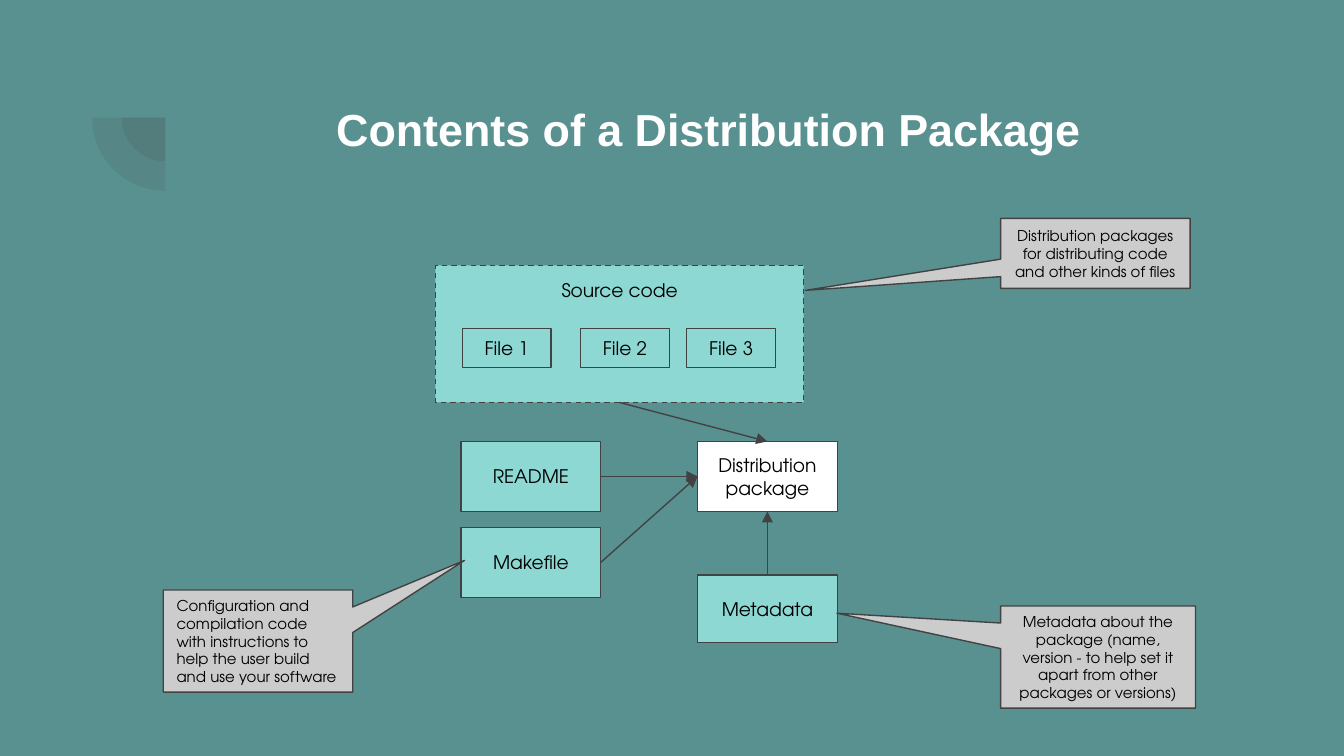
from lxml import etree
from pptx import Presentation, util as u
from pptx.dml.color import RGBColor
from pptx.enum import dml, shapes, text
from pptx.oxml import ns

COLORS = {
    "background": "599191", "ink": "424242", "part": "8DD8D3",
    "result": "FFFFFF", "note": "CCCCCC", "title": "FFFFFF", "text": "000000",
}
BODY_FONT = "TeX Gyre Adventor"
SLIDE_WIDTH = u.Inches(10)
SLIDE_HEIGHT = SLIDE_WIDTH * 9 // 16
CELL = SLIDE_WIDTH // 100
TOP, LEFT, BOTTOM, RIGHT = range(4)
PART_WIDTH, PART_HEIGHT = 10.4, 5.2
LEFT_COLUMN, RIGHT_COLUMN, NOTE_COLUMN = 34.3, 51.9, 74.45
PACKAGE_ROW = 32.85


def color(name):
    return RGBColor.from_string(COLORS[name])


def grid(*cells):
    return [round(cell * CELL) for cell in cells]


def write(frame, lines, size, font, color_name, align, anchor, bold=False):
    frame.word_wrap = True
    frame.auto_size = text.MSO_AUTO_SIZE.NONE
    frame.vertical_anchor = anchor
    frame.margin_left = frame.margin_right = CELL
    frame.margin_top = frame.margin_bottom = CELL
    for index, line in enumerate(lines):
        paragraph = frame.add_paragraph() if index else frame.paragraphs[0]
        paragraph.alignment = align
        run = paragraph.add_run()
        run.text = line
        run.font.size = u.Pt(size)
        run.font.name = font
        run.font.bold = bold
        run.font.color.rgb = color(color_name)


def add_title(slide, title):
    placeholder = slide.shapes.title
    placeholder.left, placeholder.top, placeholder.width, placeholder.height = grid(
        14.25, 6.55, 76.9, 10.9)
    write(placeholder.text_frame, [title], 24, "Arial", "title",
          text.PP_ALIGN.CENTER, text.MSO_ANCHOR.TOP, bold=True)


def add_quarter(slide, center, radius):
    column, row = center
    shape = slide.shapes.add_shape(
        shapes.MSO_SHAPE.PIE,
        *grid(column - radius, row - radius, 2 * radius, 2 * radius))
    shape.shadow.inherit = False
    shape.rotation = 270
    shape.adjustments[0] = 108
    shape.adjustments[1] = 162
    shape.fill.solid()
    shape.fill.fore_color.rgb = color("ink")
    shape.line.fill.background()
    fill_color = shape._element.spPr.find(ns.qn("a:solidFill"))[0]
    etree.SubElement(fill_color, ns.qn("a:alpha"), val="13000")


def add_outlined(slide, kind, cells, fill):
    shape = slide.shapes.add_shape(kind, *grid(*cells))
    shape.shadow.inherit = False
    shape.fill.solid()
    shape.fill.fore_color.rgb = color(fill)
    shape.line.color.rgb = color("ink")
    shape.line.width = u.Pt(0.75)
    return shape


def add_box(slide, cells, lines, fill="part", anchor=text.MSO_ANCHOR.MIDDLE):
    shape = add_outlined(slide, shapes.MSO_SHAPE.RECTANGLE, cells, fill)
    write(shape.text_frame, lines, 10, BODY_FONT, "text",
          text.PP_ALIGN.CENTER, anchor)
    return shape


def add_note(slide, cells, tip, note, align=text.PP_ALIGN.CENTER):
    shape = add_outlined(
        slide, shapes.MSO_SHAPE.ROUNDED_RECTANGULAR_CALLOUT, cells, "note")
    for index, value in enumerate((*tip, 0)):
        shape.adjustments[index] = value
    write(shape.text_frame, [note], 8, BODY_FONT, "text", align,
          text.MSO_ANCHOR.MIDDLE)


def add_arrow(slide, source, source_side, target, target_side):
    connector = slide.shapes.add_connector(
        shapes.MSO_CONNECTOR.STRAIGHT, 0, 0, 0, 0)
    connector.begin_connect(source, source_side)
    connector.end_connect(target, target_side)
    connector.line.color.rgb = color("ink")
    connector.line.width = u.Pt(0.75)
    properties = connector._element.spPr
    etree.SubElement(properties.find(ns.qn("a:ln")), ns.qn("a:tailEnd"),
                     type="triangle")
    etree.SubElement(properties, ns.qn("a:effectLst"))


def add_source_code(slide):
    source = add_box(slide, (32.4, 19.75, 27.4, 10.2), ["Source code"],
                     anchor=text.MSO_ANCHOR.TOP)
    source.line.dash_style = dml.MSO_LINE.DASH
    for number, column in enumerate((34.4, 43.2, 51.1), start=1):
        add_box(slide, (column, 24.45, 6.6, 2.9), [f"File {number}"])
    return source


def add_diagram(slide):
    size = (PART_WIDTH, PART_HEIGHT)
    source = add_source_code(slide)
    readme = add_box(slide, (LEFT_COLUMN, PACKAGE_ROW, *size), ["README"])
    makefile = add_box(slide, (LEFT_COLUMN, 39.25, *size), ["Makefile"])
    metadata = add_box(slide, (RIGHT_COLUMN, 42.8, PART_WIDTH, 5), ["Metadata"])
    package = add_box(slide, (RIGHT_COLUMN, PACKAGE_ROW, *size),
                      ["Distribution", "package"], "result")
    for part, part_side, package_side in (
        (source, BOTTOM, TOP),
        (readme, RIGHT, LEFT),
        (makefile, RIGHT, LEFT),
        (metadata, TOP, BOTTOM),
    ):
        add_arrow(slide, part, part_side, package, package_side)


def add_notes(slide):
    add_note(slide, (12.15, 43.9, 14.1, 7.6), (1.09, -0.79),
             "Configuration and compilation code with instructions to help "
             "the user build and use your software", text.PP_ALIGN.LEFT)
    add_note(slide, (NOTE_COLUMN, 16.25, 14.1, 5.2), (-1.53, 0.53),
             "Distribution packages for distributing code and other kinds of files")
    add_note(slide, (NOTE_COLUMN, 45.1, 14.5, 7.6), (-1.34, -0.43),
             "Metadata about the package (name, version - to help set it "
             "apart from other packages or versions)")


def main():
    presentation = Presentation()
    presentation.slide_width = SLIDE_WIDTH
    presentation.slide_height = SLIDE_HEIGHT
    slide = presentation.slides.add_slide(presentation.slide_layouts[5])
    slide.background.fill.solid()
    slide.background.fill.fore_color.rgb = color("background")
    for radius in (3.25, 5.45):
        add_quarter(slide, (12.3, 8.75), radius)
    add_title(slide, "Contents of a Distribution Package")
    add_diagram(slide)
    add_notes(slide)
    presentation.save("out.pptx")


if __name__ == "__main__":
    main()
